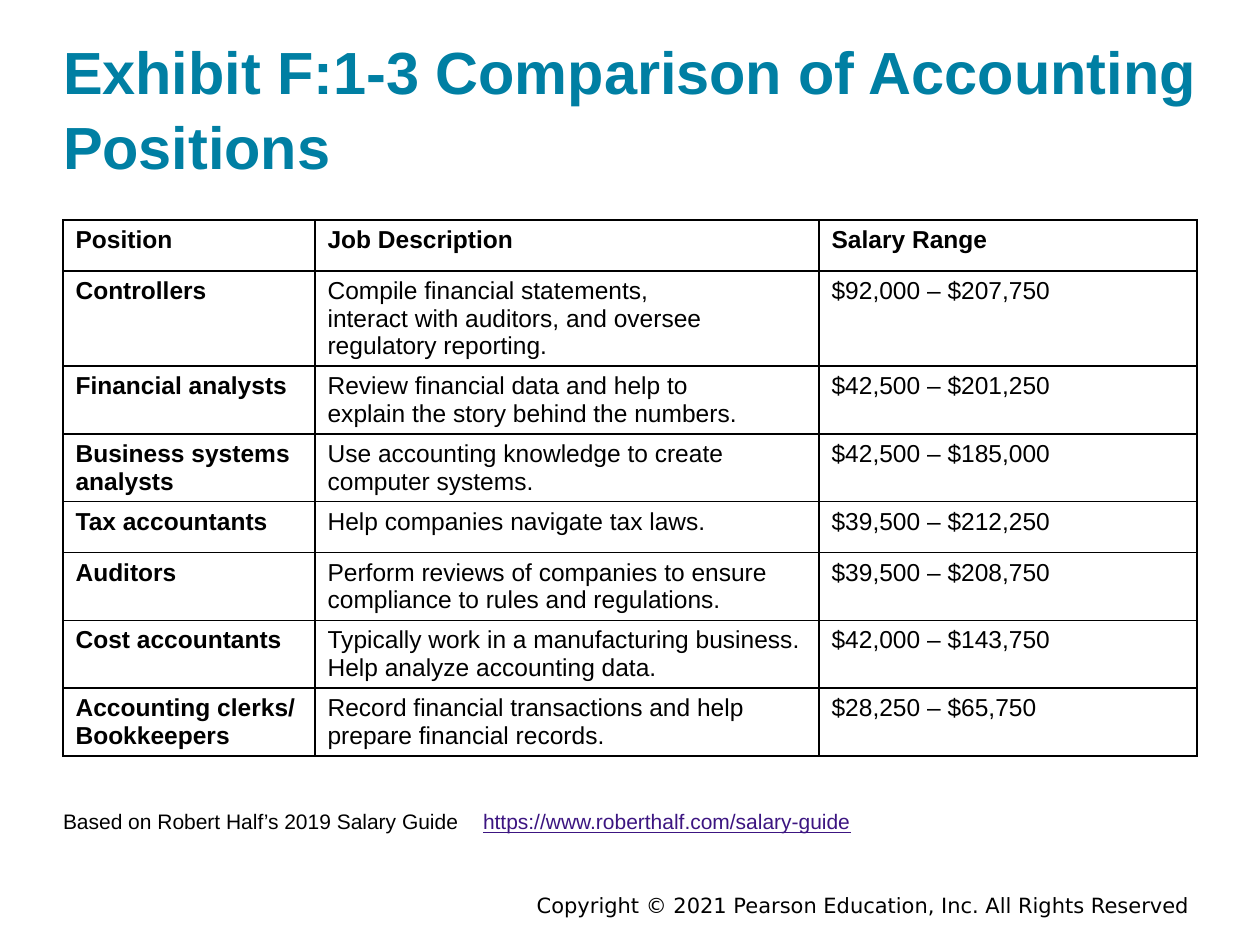
import pptx
import pptx.dml.color
import pptx.enum.text
import pptx.oxml
import pptx.oxml.ns
import pptx.util

RGBColor = pptx.dml.color.RGBColor
TEAL = RGBColor(0x00, 0x7F, 0xA3)
BLACK = RGBColor(0x00, 0x00, 0x00)
PURPLE = RGBColor(0x3C, 0x15, 0x81)

PX_PER_INCH = 126
COLUMNS = (252, 504, 378)
ROW_HEIGHT = 51

POSITIONS = [
    ("Position", "Job Description", "Salary Range"),
    ("Controllers",
     "Compile financial statements,\ninteract with auditors, and oversee\nregulatory reporting.",
     "$92,000 – $207,750"),
    ("Financial analysts",
     "Review financial data and help to\nexplain the story behind the numbers.",
     "$42,500 – $201,250"),
    ("Business systems\nanalysts",
     "Use accounting knowledge to create\ncomputer systems.",
     "$42,500 – $185,000"),
    ("Tax accountants", "Help companies navigate tax laws.", "$39,500 – $212,250"),
    ("Auditors",
     "Perform reviews of companies to ensure\ncompliance to rules and regulations.",
     "$39,500 – $208,750"),
    ("Cost accountants",
     "Typically work in a manufacturing business.\nHelp analyze accounting data.",
     "$42,000 – $143,750"),
    ("Accounting clerks/\nBookkeepers",
     "Record financial transactions and help\nprepare financial records.",
     "$28,250 – $65,750"),
]


def px(n):
    return pptx.util.Emu(round(n * 914400 / PX_PER_INCH))


def place(sp, left, top, width, height):
    sp.left, sp.top, sp.width, sp.height = map(px, (left, top, width, height))


def add_run(p, text, size, color=BLACK, bold=False, underline=False, font="Arial"):
    r = p.add_run()
    r.text = text
    r.font.name = font
    r.font.size = pptx.util.Pt(size)
    r.font.bold = bold
    r.font.underline = underline
    r.font.color.rgb = color


def prepare_frame(tf, anchor):
    tf.word_wrap = True
    tf.auto_size = pptx.enum.text.MSO_AUTO_SIZE.NONE
    tf.vertical_anchor = anchor
    tf.margin_left = tf.margin_top = tf.margin_right = tf.margin_bottom = 0
    return tf.paragraphs[0]


def fill_title(sp, text):
    place(sp, 63, 30, 1134, 151)
    p = prepare_frame(sp.text_frame, pptx.enum.text.MSO_ANCHOR.BOTTOM)
    p.alignment = pptx.enum.text.PP_ALIGN.LEFT
    p.line_spacing = 1.04
    add_run(p, text, 34, TEAL, bold=True)


def fill_source(sp, left, width, text, **style):
    place(sp, left, 809, width, 32)
    p = prepare_frame(sp.text_frame, pptx.enum.text.MSO_ANCHOR.TOP)
    pPr = p._p.get_or_add_pPr()
    pPr.set("marL", "0")
    pPr.set("indent", "0")
    pPr.append(pptx.oxml.parse_xml("<a:buNone %s/>" % pptx.oxml.ns.nsdecls("a")))
    p.space_before = pptx.util.Pt(0)
    add_run(p, text, 12, **style)


def set_borders(cell):
    tcPr = cell._tc.get_or_add_tcPr()
    for i, side in enumerate(("lnL", "lnR", "lnT", "lnB")):
        tcPr.insert(i, pptx.oxml.parse_xml(
            '<a:%s %s w="12700"><a:solidFill><a:srgbClr val="%s"/></a:solidFill></a:%s>'
            % (side, pptx.oxml.ns.nsdecls("a"), BLACK, side)))


def fill_cell(cell, text, bold):
    cell.fill.background()
    set_borders(cell)
    tf = cell.text_frame
    for i, line in enumerate(text.split("\n")):
        p = tf.add_paragraph() if i else tf.paragraphs[0]
        add_run(p, line, 14, bold=bold)


def add_positions_table(s):
    table = s.shapes.add_table(
        len(POSITIONS), len(COLUMNS), px(63), px(220),
        px(sum(COLUMNS)), px(ROW_HEIGHT * len(POSITIONS))).table
    for column, width in zip(table.columns, COLUMNS):
        column.width = px(width)
    for i, row in enumerate(POSITIONS):
        table.rows[i].height = px(ROW_HEIGHT)
        for j, text in enumerate(row):
            fill_cell(table.cell(i, j), text, bold=i == 0 or j == 0)


def add_copyright(s, text):
    sp = s.shapes.add_textbox(px(372), px(886), px(830), px(38))
    tf = sp.text_frame
    tf.word_wrap = True
    p = tf.paragraphs[0]
    p.alignment = pptx.enum.text.PP_ALIGN.RIGHT
    add_run(p, text, 12, font="DejaVu Sans")


def main():
    prs = pptx.Presentation()
    prs.slide_width, prs.slide_height = px(1260), px(945)
    s = prs.slides.add_slide(prs.slide_layouts[3])  # title and two bodies

    # Title and table
    fill_title(s.shapes.title, "Exhibit F:1-3 Comparison of Accounting Positions")
    add_positions_table(s)

    # Source line and copyright
    fill_source(s.placeholders[1], 63, 410, "Based on Robert Half’s 2019 Salary Guide")
    fill_source(s.placeholders[2], 483, 399, "https://www.roberthalf.com/salary-guide",
                color=PURPLE, underline=True)
    add_copyright(s, "Copyright © 2021 Pearson Education, Inc. All Rights Reserved")

    prs.save("out.pptx")


if __name__ == "__main__":
    main()
